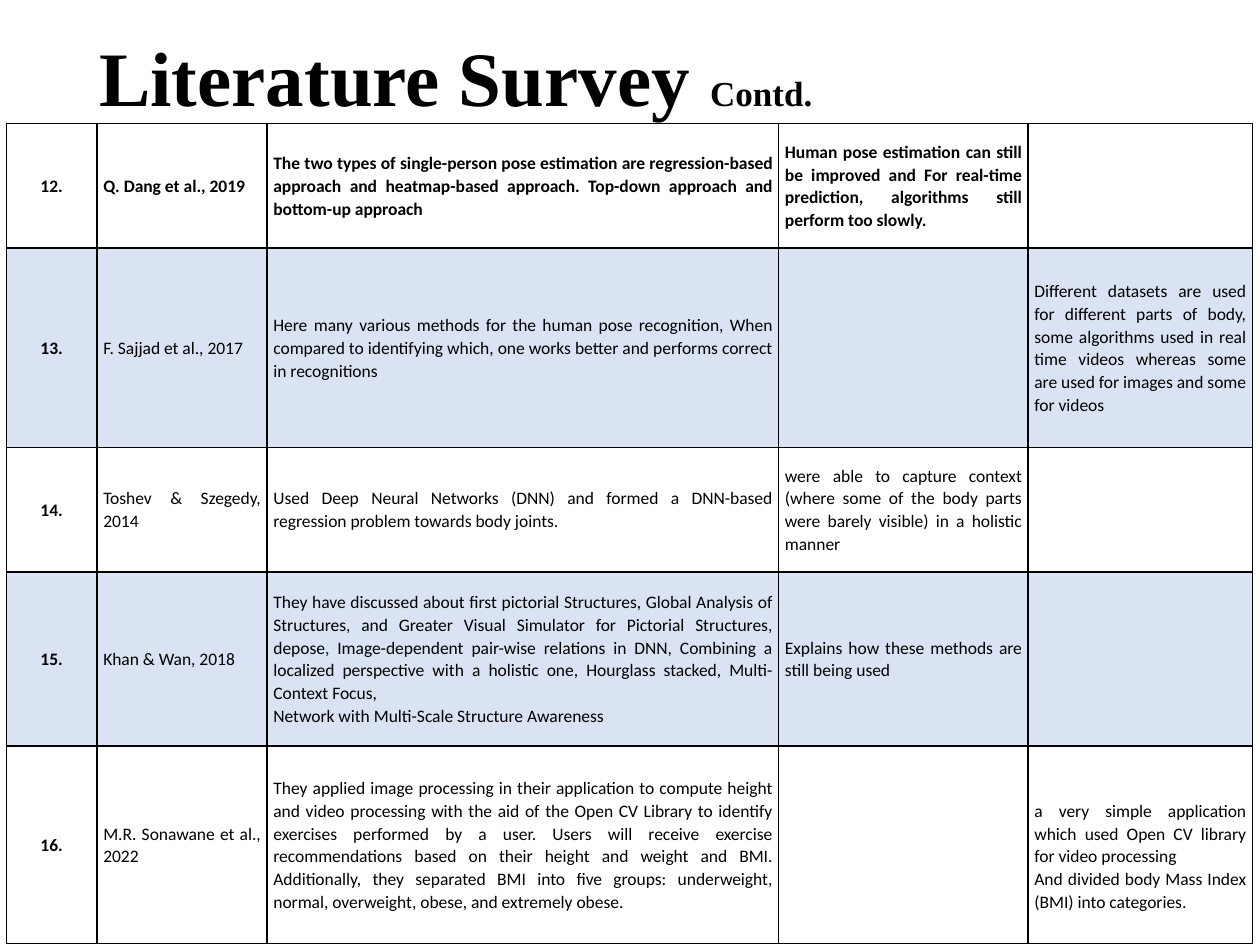
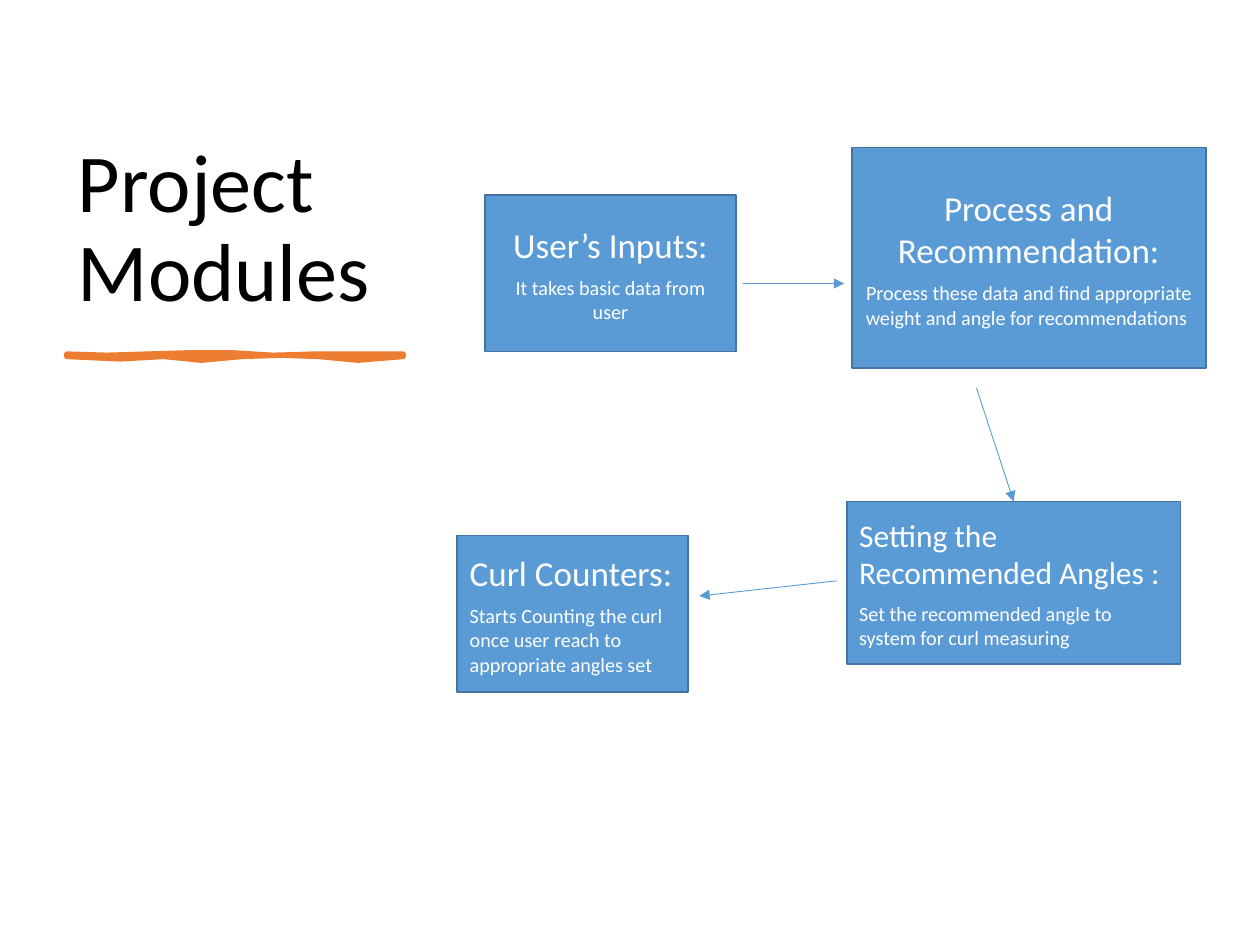
"""Builds the literature survey table slide and the project modules slide."""
from lxml import etree
from pptx import Presentation
from pptx.dml.color import RGBColor
from pptx.enum.shapes import MSO_CONNECTOR, MSO_SHAPE
from pptx.enum.text import MSO_ANCHOR as ANCHOR, PP_ALIGN as ALIGN
from pptx.oxml import parse_xml
from pptx.oxml.ns import nsdecls, qn
from pptx.util import Inches, Pt

BLACK, WHITE = "000000", "FFFFFF"
BAND = "DAE3F3"
BLUE, BLUE_EDGE = "5B9BD5", "43739E"
ORANGE = "ED7D31"
BODY_FONT, TITLE_FONT = "Calibri", "Times New Roman"


def rgb(value):
    return RGBColor.from_string(value)


def add_title(s, box, anchor, font, bold, runs):
    tf = s.shapes.add_textbox(*map(Inches, box)).text_frame
    tf.word_wrap = True
    tf.vertical_anchor = anchor
    p = tf.paragraphs[0]
    p.line_spacing = 0.9
    for text, size in runs:
        r = p.add_run()
        r.text = text
        r.font.name, r.font.size, r.font.bold = font, Pt(size), bold
        r.font.color.rgb = rgb(BLACK)


prs = Presentation()
prs.slide_width, prs.slide_height = Inches(10), Inches(7.5)
blank = prs.slide_layouts[6]

s = prs.slides.add_slide(blank)
add_title(s, (0.69, 0.31, 8.62, 0.68), ANCHOR.MIDDLE, TITLE_FONT, True,
          [("Literature Survey ", 44), ("Contd.", 20)])

survey = [
    ("12.", "Q. Dang et al., 2019",
     "The two types of single-person pose estimation are regression-based approach and "
     "heatmap-based approach. Top-down approach and bottom-up approach",
     "Human pose estimation can still be improved and For real-time prediction, "
     "algorithms still perform too slowly.", ""),
    ("13.", "F. Sajjad et al., 2017",
     "Here many various methods for the human pose recognition, When compared to "
     "identifying which, one works better and performs correct in recognitions", "",
     "Different datasets are used for different parts of body, some algorithms used in "
     "real time videos whereas some are used for images and some for videos"),
    ("14.", "Toshev & Szegedy, 2014",
     "Used Deep Neural Networks (DNN) and formed a DNN-based regression problem towards "
     "body joints.",
     "were able to capture context (where some of the body parts were barely visible) "
     "in a holistic manner", ""),
    ("15.", "Khan & Wan, 2018",
     "They have discussed about first pictorial Structures, Global Analysis of Structures, "
     "and Greater Visual Simulator for Pictorial Structures, depose, Image-dependent "
     "pair-wise relations in DNN, Combining a localized perspective with a holistic one, "
     "Hourglass stacked, Multi-Context Focus,\nNetwork with Multi-Scale Structure Awareness",
     "Explains how these methods are still being used", ""),
    ("16.", "M.R. Sonawane et al., 2022",
     "They applied image processing in their application to compute height and video "
     "processing with the aid of the Open CV Library to identify exercises performed by a "
     "user. Users will receive exercise recommendations based on their height and weight "
     "and BMI. Additionally, they separated BMI into five groups: underweight, normal, "
     "overweight, obese, and extremely obese.", "",
     "a very simple application which used Open CV library for video processing\n"
     "And divided body Mass Index (BMI) into categories."),
]
col_widths = [0.72, 1.35, 4.06, 1.98, 1.78]
row_heights = [0.99, 1.58, 0.99, 1.38, 1.57]

table = s.shapes.add_table(len(survey), len(col_widths), Inches(0.05), Inches(0.98),
                           Inches(9.89), Inches(6.51)).table
table.first_row = table.horz_banding = False
for column, width in zip(table.columns, col_widths):
    column.width = Inches(width)
for row, height in zip(table.rows, row_heights):
    row.height = Inches(height)

for i, entry in enumerate(survey):
    for j, text in enumerate(entry):
        cell = table.cell(i, j)
        cell.text = text
        cell.vertical_anchor = ANCHOR.MIDDLE
        cell.margin_left = cell.margin_right = Inches(0.05)
        cell.margin_top = cell.margin_bottom = 0
        for p in cell.text_frame.paragraphs:
            p.alignment = ALIGN.JUSTIFY if j else ALIGN.CENTER
            p.line_spacing = 1.07
            for r in p.runs:
                r.font.name, r.font.size = BODY_FONT, Pt(10)
                r.font.bold = i == 0 or j == 0
                r.font.color.rgb = rgb(BLACK)
        tc_pr = cell._tc.get_or_add_tcPr()
        for side in ("lnL", "lnR", "lnT", "lnB"):
            tc_pr.append(parse_xml(
                f'<a:{side} {nsdecls("a")} w="12700"><a:solidFill>'
                f'<a:srgbClr val="{BLACK}"/></a:solidFill></a:{side}>'))
        if i % 2:
            cell.fill.solid()
            cell.fill.fore_color.rgb = rgb(BAND)
        else:
            cell.fill.background()
table.cell(4, 4).margin_top = Inches(0.18)

s = prs.slides.add_slide(blank)
add_title(s, (0.52, 0.7, 2.81, 1.88), ANCHOR.BOTTOM, BODY_FONT, False,
          [("Project Modules", 47)])

underline = [
    (0.53, 2.81), (0.85, 2.82), (1.17, 2.81), (1.5, 2.8), (1.84, 2.8), (2.17, 2.82),
    (2.5, 2.81), (2.85, 2.81), (3.2, 2.81), (3.2, 2.83), (2.84, 2.86), (2.53, 2.83),
    (2.23, 2.82), (1.92, 2.83), (1.6, 2.86), (1.3, 2.83), (0.95, 2.85), (0.53, 2.83),
]
points = [(Inches(x), Inches(y)) for x, y in underline]
builder = s.shapes.build_freeform(*points[0])
builder.add_line_segments(points[1:], close=True)
stroke = builder.convert_to_shape()
stroke.shadow.inherit = False
stroke.fill.solid()
stroke.fill.fore_color.rgb = rgb(ORANGE)
stroke.line.color.rgb = rgb(ORANGE)
stroke.line.width = Pt(3)
etree.SubElement(stroke.line._get_or_add_ln(), qn("a:round"))

modules = [
    ((3.85, 1.55, 1.99, 1.24), ALIGN.CENTER, 20, "User’s Inputs:",
     "It takes basic data from user"),
    ((6.76, 1.17, 2.81, 1.75), ALIGN.CENTER, 20, "Process and Recommendation:",
     "Process these data and find appropriate weight and angle for recommendations "),
    ((6.72, 3.98, 2.65, 1.29), ALIGN.LEFT, 18, "Setting the Recommended Angles :",
     "Set the recommended angle to system for curl measuring"),
    ((3.63, 4.25, 1.83, 1.24), ALIGN.LEFT, 20, "Curl Counters:",
     "Starts Counting the curl once user reach to appropriate angles set"),
]
boxes = []
for box, align, size, heading, detail in modules:
    sp = s.shapes.add_shape(MSO_SHAPE.RECTANGLE, *map(Inches, box))
    sp.shadow.inherit = False
    sp.fill.solid()
    sp.fill.fore_color.rgb = rgb(BLUE)
    sp.line.color.rgb = rgb(BLUE_EDGE)
    sp.line.width = Pt(1)
    tf = sp.text_frame
    tf.word_wrap = True
    tf.vertical_anchor = ANCHOR.MIDDLE
    tf.text = f"{heading}\n{detail}"
    for p, font_size in zip(tf.paragraphs, (size, 11.5)):
        p.alignment = align
        p.space_after = Pt(6)
        for r in p.runs:
            r.font.name, r.font.size = BODY_FONT, Pt(font_size)
            r.font.color.rgb = rgb(WHITE)
    boxes.append(sp)

arrows = []
for ends in ((5.9, 2.25, 6.7, 2.25), (7.75, 3.08, 8.05, 3.98), (6.64, 4.61, 5.55, 4.73)):
    arrow = s.shapes.add_connector(MSO_CONNECTOR.STRAIGHT, *map(Inches, ends))
    arrow.line.color.rgb = rgb(BLUE)
    arrow.line.width = Pt(0.5)
    etree.SubElement(arrow.line._get_or_add_ln(), qn("a:tailEnd"), type="triangle")
    etree.SubElement(arrow._element.spPr, qn("a:effectLst"))
    arrows.append(arrow)
arrows[1].end_connect(boxes[2], 0)

prs.save("out.pptx")
